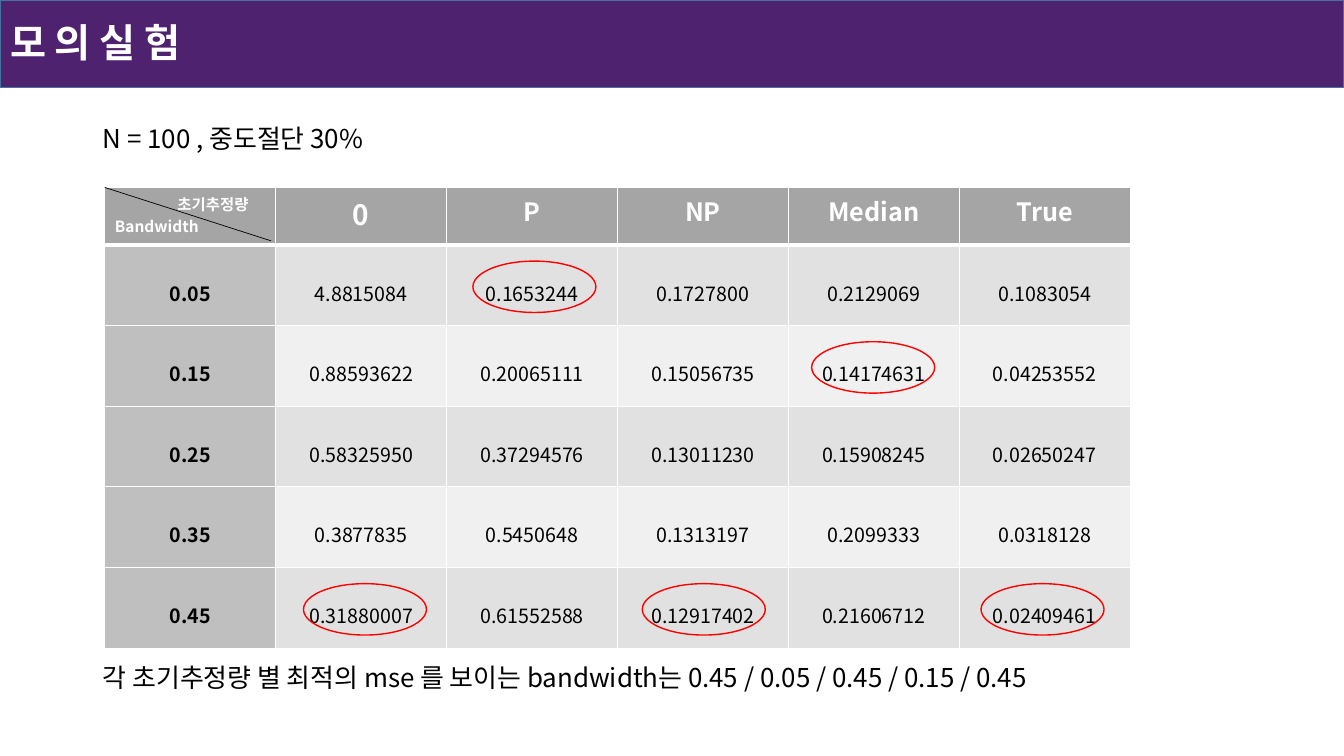
from dataclasses import dataclass

from lxml.etree import SubElement
from pptx import Presentation
from pptx.dml.color import RGBColor
from pptx.enum.shapes import MSO_CONNECTOR, MSO_SHAPE
from pptx.enum.text import MSO_ANCHOR, MSO_AUTO_SIZE, PP_ALIGN
from pptx.oxml import parse_xml
from pptx.oxml.ns import nsdecls, qn
from pptx.util import Inches, Pt


@dataclass(frozen=True)
class Theme:
    font: str = "Noto Sans CJK KR"
    white: str = "FFFFFF"
    black: str = "000000"
    banner: str = "4F2270"
    banner_line: str = "43739E"
    header: str = "A5A5A5"
    label: str = "BFBFBF"
    bands: tuple = ("E1E1E1", "F0F0F0")
    mark: str = "FF0000"
    title_size: float = 28
    body_size: float = 18.5
    zero_size: float = 20
    header_size: float = 18
    corner_size: float = 11
    cell_size: float = 14


THEME = Theme()
ESTIMATORS = ["0", "P", "NP", "Median", "True"]
MSE = {
    "0.05": ["4.8815084", "0.1653244", "0.1727800", "0.2129069", "0.1083054"],
    "0.15": ["0.88593622", "0.20065111", "0.15056735", "0.14174631", "0.04253552"],
    "0.25": ["0.58325950", "0.37294576", "0.13011230", "0.15908245", "0.02650247"],
    "0.35": ["0.3877835", "0.5450648", "0.1313197", "0.2099333", "0.0318128"],
    "0.45": ["0.31880007", "0.61552588", "0.12917402", "0.21606712", "0.02409461"],
}
LEFT, TOP = 1.04, 1.86
COL_W, HEADER_H, ROW_H = 1.695, 0.57, 0.8


def rgb(value):
    return RGBColor.from_string(value)


def write(p, text, size, color, bold=False, align=PP_ALIGN.LEFT):
    p.alignment = align
    r = p.add_run()
    r.text = text
    for name, value in {"name": THEME.font, "size": Pt(size), "bold": bold}.items():
        setattr(r.font, name, value)
    r.font.color.rgb = rgb(color)


def place(shape, left, top, width, height):
    box = {"left": left, "top": top, "width": width, "height": height}
    for name, value in box.items():
        setattr(shape, name, Inches(value))


def add_outlined(s, kind, box, line, fill=None):
    shape = s.shapes.add_shape(kind, *map(Inches, box))
    shape.shadow.inherit = False
    if fill:
        shape.fill.solid()
        shape.fill.fore_color.rgb = rgb(fill)
    else:
        shape.fill.background()
    shape.line.color.rgb = rgb(line)
    shape.line.width = Pt(1)
    return shape


def add_title(s, text):
    title = s.shapes.title
    place(title, 0, 0, 13.33, 0.88)
    tf = title.text_frame
    tf.auto_size = MSO_AUTO_SIZE.NONE
    tf.vertical_anchor = MSO_ANCHOR.MIDDLE
    p = tf.paragraphs[0]
    p.line_spacing = 0.9
    write(p, text, THEME.title_size, THEME.white, bold=True)
    banner = add_outlined(s, MSO_SHAPE.RECTANGLE, (0, 0, 13.33, 0.87),
                          THEME.banner_line, THEME.banner)
    title.element.addprevious(banner.element)


def add_body(s, lines):
    """Fill the body with (text, space before in points) lines, without bullets."""
    body = s.placeholders[1]
    place(body, 0.92, 1.23, 11.5, 6)
    tf = body.text_frame
    tf.auto_size = MSO_AUTO_SIZE.NONE
    for i, (text, gap) in enumerate(lines):
        p = tf.add_paragraph() if i else tf.paragraphs[0]
        p.line_spacing = 0.8
        p.space_before = Pt(gap)
        write(p, text, THEME.body_size, THEME.black)
    for ppr in body.element.iter(qn("a:pPr")):
        ppr.set("marL", "0")
        ppr.set("indent", "0")
        SubElement(ppr, qn("a:buNone"))


def fill_cell(cell, text, size, color, fill, bold=False, margin_top=0.05):
    cell.fill.solid()
    cell.fill.fore_color.rgb = rgb(fill)
    cell.margin_top = Inches(margin_top)
    write(cell.text_frame.paragraphs[0], text, size, color, bold, PP_ALIGN.CENTER)


def add_borders(frame, columns):
    for i, tcpr in enumerate(frame.element.iter(qn("a:tcPr"))):
        row = i // columns
        widths = {"L": 1, "R": 1, "T": 3 if row == 1 else 1, "B": 1 if row else 3}
        for k, (side, width) in enumerate(widths.items()):
            tcpr.insert(k, parse_xml(
                f'<a:ln{side} {nsdecls("a")} w="{Pt(width)}"><a:solidFill>'
                f'<a:srgbClr val="{THEME.white}"/></a:solidFill></a:ln{side}>'))


def add_mse_table(s):
    rows, cols = len(MSE) + 1, len(ESTIMATORS) + 1
    frame = s.shapes.add_table(rows, cols, Inches(LEFT), Inches(TOP), Inches(COL_W * cols),
                               Inches(HEADER_H + ROW_H * len(MSE)))
    table = frame.table
    table.horz_banding = False
    for column in table.columns:
        column.width = Inches(COL_W)
    for i, row in enumerate(table.rows):
        row.height = Inches(ROW_H if i else HEADER_H)

    corner = table.cell(0, 0)
    fill_cell(corner, "초기추정량", THEME.corner_size, THEME.white, THEME.header, True)
    first = corner.text_frame.paragraphs[0]
    first.alignment = PP_ALIGN.LEFT
    next(frame.element.iter(qn("a:pPr"))).set("marL", str(Inches(0.62)))
    write(corner.text_frame.add_paragraph(), "Bandwidth", THEME.corner_size,
          THEME.white, True)

    for c, name in enumerate(ESTIMATORS, 1):
        size = THEME.zero_size if name == "0" else THEME.header_size
        fill_cell(table.cell(0, c), name, size, THEME.white, THEME.header, True)
    for i, (bandwidth, values) in enumerate(MSE.items(), 1):
        for c, text in enumerate([bandwidth, *values]):
            fill = THEME.bands[(i - 1) % 2] if c else THEME.label
            fill_cell(table.cell(i, c), text, THEME.cell_size, THEME.black, fill,
                      bold=c == 0, margin_top=0.33)
    add_borders(frame, cols)


def add_corner_diagonal(s):
    ends = map(Inches, (LEFT, TOP, LEFT + 1.65, TOP + 0.53))
    line = s.shapes.add_connector(MSO_CONNECTOR.STRAIGHT, *ends)
    line.line.color.rgb = rgb(THEME.black)
    line.line.width = Pt(0.5)
    SubElement(line.element.spPr, qn("a:effectLst"))


def mark_minima(s):
    """Circle the smallest error of each estimator."""
    for c, column in enumerate(zip(*MSE.values())):
        best = column.index(min(column, key=float))
        box = (3.01 + 1.68 * c, 2.59 + ROW_H * best, 1.22, 0.51)
        add_outlined(s, MSO_SHAPE.OVAL, box, THEME.mark)


def set_east_asian_font(s):
    for latin in list(s.element.iter(qn("a:latin"))):
        latin.addnext(parse_xml(f'<a:ea {nsdecls("a")} typeface="{THEME.font}"/>'))


def main():
    prs = Presentation()
    prs.slide_width, prs.slide_height = Inches(13.33), Inches(7.5)
    s = prs.slides.add_slide(prs.slide_layouts[1])
    add_title(s, "모 의 실 험")
    add_body(s, [
        ("N = 100 , 중도절단 30%", 10),
        ("각 초기추정량 별 최적의 mse 를 보이는 bandwidth는 "
         "0.45 / 0.05 / 0.45 / 0.15 / 0.45", 367),
    ])
    add_mse_table(s)
    add_corner_diagonal(s)
    mark_minima(s)
    set_east_asian_font(s)
    prs.save("out.pptx")


if __name__ == "__main__":
    main()
